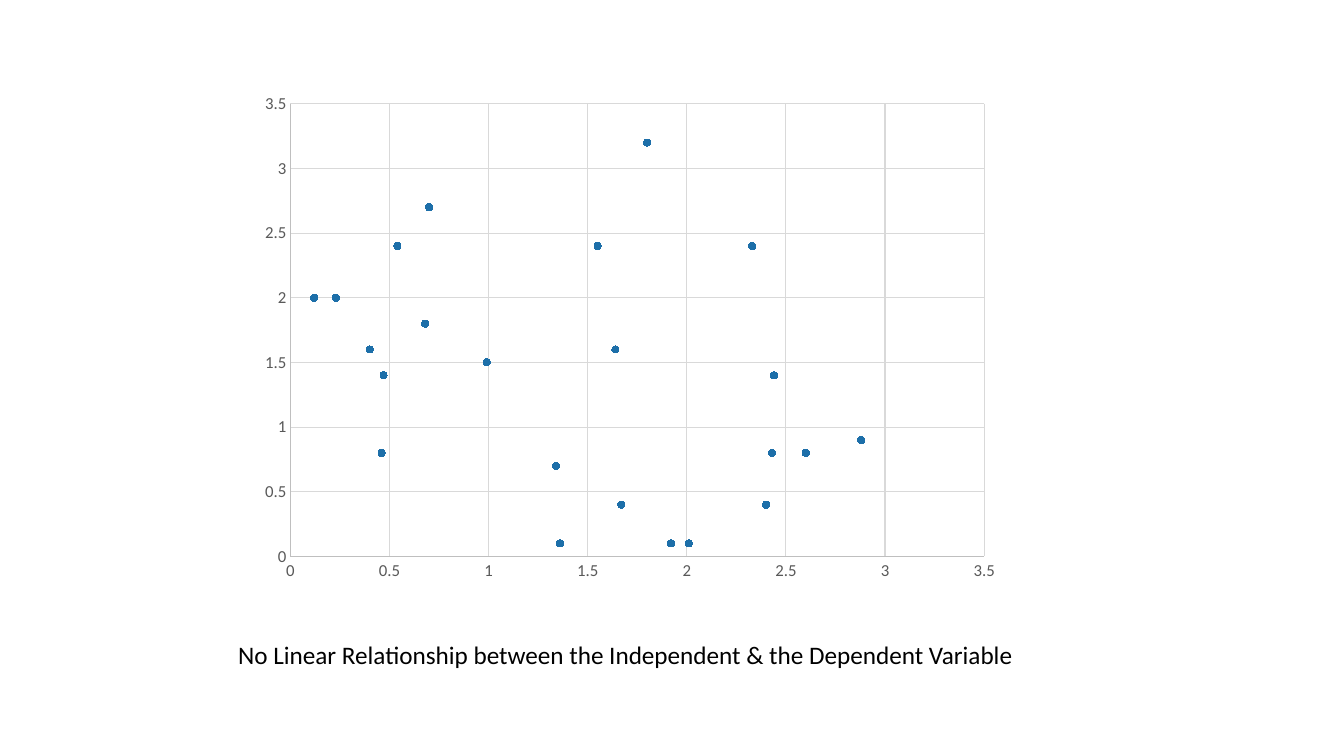
"""Build a slide with a scatter chart that shows no linear relationship."""
from dataclasses import dataclass

from pptx import Presentation
from pptx.chart.data import XyChartData
from pptx.dml.color import RGBColor
from pptx.enum.chart import XL_CHART_TYPE, XL_MARKER_STYLE, XL_TICK_MARK
from pptx.enum.text import MSO_AUTO_SIZE
from pptx.util import Pt


@dataclass(frozen=True)
class Theme:
    font: str = "Calibri"
    caption: RGBColor = RGBColor(0x00, 0x00, 0x00)
    label: RGBColor = RGBColor(0x59, 0x59, 0x59)
    axis: RGBColor = RGBColor(0xBF, 0xBF, 0xBF)
    grid: RGBColor = RGBColor(0xD9, 0xD9, 0xD9)
    marker: RGBColor = RGBColor(0x1D, 0x6F, 0xA9)
    caption_size: Pt = Pt(18)
    label_size: Pt = Pt(12)
    chart_size: Pt = Pt(10)
    line_width: Pt = Pt(0.75)


theme = Theme()
points = [
    (0.7, 2.7), (1.8, 3.2), (2.6, 0.8), (2.4, 0.4), (1.34, 0.7), (0.46, 0.8),
    (2.44, 1.4), (0.4, 1.6), (0.23, 2), (0.54, 2.4), (1.36, 0.1), (1.55, 2.4),
    (2.43, 0.8), (2.88, 0.9), (2.01, 0.1), (2.33, 2.4), (0.12, 2), (0.47, 1.4),
    (0.68, 1.8), (0.99, 1.5), (1.67, 0.4), (1.92, 0.1), (1.64, 1.6),
]

prs = Presentation()
prs.slide_width, prs.slide_height = Pt(960), Pt(540)
s = prs.slides.add_slide(prs.slide_layouts[6])

data = XyChartData(number_format="General")
series_data = data.add_series("Series 1")
for x, y in points:
    series_data.add_data_point(x, y)
chart = s.shapes.add_chart(
    XL_CHART_TYPE.XY_SCATTER, Pt(178.5), Pt(59.8), Pt(543), Pt(362), data
).chart
chart.has_title = False
chart.has_legend = False
chart.font.name = theme.font
chart.font.size = theme.chart_size
chart.font.color.rgb = theme.caption

plot = chart.plots[0]
plot.vary_by_categories = False
series = plot.series[0]
series.smooth = False
series.format.line.fill.background()
series.marker.style = XL_MARKER_STYLE.CIRCLE
series.marker.size = 5
for part in (series.marker.format.fill, series.marker.format.line.fill):
    part.solid()
    part.fore_color.rgb = theme.marker

for axis in (chart.category_axis, chart.value_axis):
    axis.minimum_scale, axis.maximum_scale, axis.major_unit = 0, 3.5, 0.5
    axis.major_tick_mark = axis.minor_tick_mark = XL_TICK_MARK.NONE
    axis.has_major_gridlines = True
    axis.tick_labels.font.name = theme.font
    axis.tick_labels.font.size = theme.label_size
    axis.tick_labels.font.color.rgb = theme.label
    for line, color in (
        (axis.format.line, theme.axis),
        (axis.major_gridlines.format.line, theme.grid),
    ):
        line.width = theme.line_width
        line.color.rgb = color

sp = s.shapes.add_textbox(Pt(163), Pt(453), Pt(575), Pt(29))
tf = sp.text_frame
tf.word_wrap = True
tf.auto_size = MSO_AUTO_SIZE.SHAPE_TO_FIT_TEXT
p = tf.paragraphs[0]
r = p.add_run()
r.text = "No Linear Relationship between the Independent & the Dependent Variable"
r.font.name = theme.font
r.font.size = theme.caption_size
r.font.color.rgb = theme.caption

prs.save("out.pptx")
